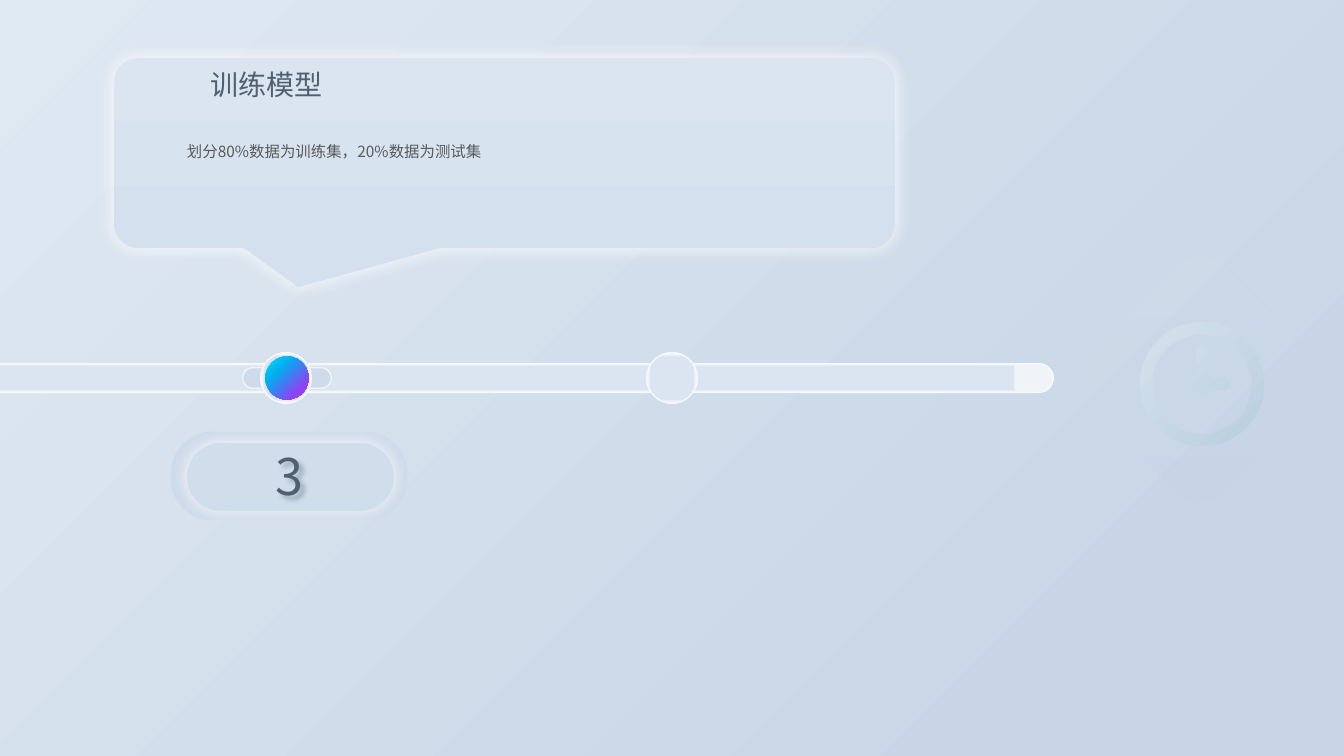
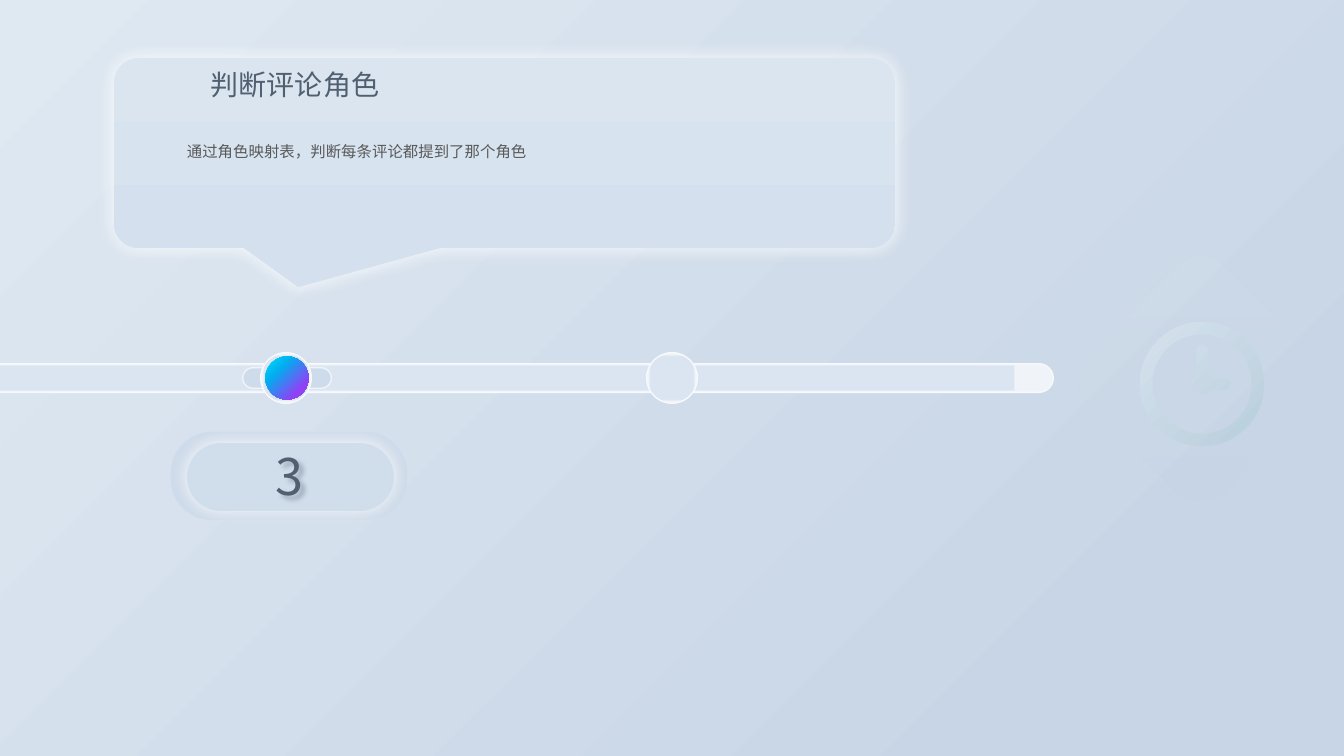
from dataclasses import dataclass
from math import ceil, cos, radians, sin, tan

from lxml import etree
from pptx import Presentation
from pptx.dml.color import RGBColor
from pptx.dml.fill import FillFormat
from pptx.enum.shapes import MSO_SHAPE
from pptx.enum.text import MSO_AUTO_SIZE, PP_ALIGN
from pptx.oxml.ns import qn
from pptx.shapes.autoshape import Shape
from pptx.slide import Slide
from pptx.util import Pt

WIDE, HIGH = 1344, 756
SCALE = 12192000 / WIDE
FINE = 100
PILL = MSO_SHAPE.ROUNDED_RECTANGLE
OVAL = MSO_SHAPE.OVAL
CALLOUT = MSO_SHAPE.ROUNDED_RECTANGULAR_CALLOUT
LEFT, CENTER = PP_ALIGN.LEFT, PP_ALIGN.CENTER
HEAD, BODY = "Noto Sans CJK JP", "Noto Sans CJK SC"
SLATE, GRAY, WHITE = "516070", "595959", "FFFFFF"
PALE, WELL, RIM, EDGE, STEEL = "D4E0ED", "CEDBEA", "F7F9FC", "F0F4F9", "85AACC"

Box = tuple[int, int, int, int]
Point = tuple[float, float]


@dataclass(frozen=True)
class Grad:
    """Colour stops in percent; without an angle the blend follows the shape."""
    stops: tuple[tuple[int, str], ...]
    angle: int | None = None
    alpha: int = 100


@dataclass(frozen=True)
class Part:
    """A shape whose box takes in the width of its line."""
    kind: MSO_SHAPE
    box: Box
    fill: str | Grad
    line: str = RIM
    width: float = 1
    adj: tuple[float, ...] = ()
    glow: int = 0
    clear: bool = False
    turn: int = 0


@dataclass(frozen=True)
class Step:
    title: str
    body: str


SKY = Grad(((0, "DFE9F2"), (85, "C8D5E6")), 45)
MIST = Grad(SKY.stops, 45, 8)
TRACK = Grad(((84, "DBE5F1"), (93, EDGE)))
NEON = Grad(((0, "04DFFB"), (31, "00B0F0"), (79, "9340F5")), 45)
CARD = Grad(((0, "DAE5F0"), (100, PALE)), 90)
CLOCK = Grad(((0, "D6E2EE"), (100, "B8CEDB")), 45)

PARTS = (
    Part(PILL, (-41, 363, 1095, 30), TRACK, adj=(0.5,)),
    Part(PILL, (242, 367, 90, 22), WELL, EDGE, adj=(0.5,)),
    *(Part(OVAL, (x, 352, 52, 52), TRACK) for x in (260, 646)),
    Part(OVAL, (265, 356, 44, 44), NEON, WHITE, 0.5, clear=True),
    Part(PILL, (170, 431, 238, 90), WELL, adj=(0.47,), clear=True),
    Part(PILL, (173, 429, 235, 96), "D0DDEB", STEEL, 20, (0.5,), 18, True),
    Part(CALLOUT, (100, 44, 809, 218), CARD, STEEL, 20, (-0.264, 0.705, 0.13),
         20, True),
    Part(PILL, (1090, 268, 221, 221), MIST, STEEL, 20, clear=True, turn=45),
)

STEPS = (
    Step("训练模型", "划分80%数据为训练集，20%数据为测试集"),
    Step("判断评论角色", "通过角色映射表，判断每条评论都提到了那个角色"),
)


def emu(px: float) -> int:
    return round(px * SCALE)


def rgb(code: str) -> RGBColor:
    return RGBColor.from_string(code)


def node(up: etree._Element, tag: str, **attrs: object) -> etree._Element:
    return etree.SubElement(up, qn(tag), {k: str(v) for k, v in attrs.items()})


def tint(up: etree._Element, code: str, alpha: int = 100) -> None:
    color = node(up, "a:srgbClr", val=code)
    if alpha < 100:
        node(color, "a:alpha", val=alpha * 1000)


def paint(fill: FillFormat, look: str | Grad) -> None:
    if isinstance(look, str):
        fill.solid()
        fill.fore_color.rgb = rgb(look)
        return
    fill.gradient()
    grad = fill._xPr.find(qn("a:gradFill"))
    for child in list(grad):
        grad.remove(child)
    stops = node(grad, "a:gsLst")
    for pos, code in look.stops:
        tint(node(stops, "a:gs", pos=pos * 1000), code, look.alpha)
    if look.angle is None:
        mode = node(grad, "a:path", path="shape")
        node(mode, "a:fillToRect", l=50000, t=50000, r=50000, b=50000)
    else:
        node(grad, "a:lin", ang=look.angle * 60000, scaled=0)


def shade(shape: Shape, code: str, alpha: int, blur: int, gap: int = 0) -> None:
    shape.shadow.inherit = False
    group = shape._element.spPr.find(qn("a:effectLst"))
    tint(node(group, "a:outerShdw", blurRad=emu(blur), dist=emu(gap),
              dir=2700000, algn="ctr", rotWithShape=0), code, alpha)


def draw(slide: Slide, part: Part) -> None:
    x, y, w, h = map(emu, part.box)
    rim = Pt(part.width)
    half = rim // 2
    shape = slide.shapes.add_shape(part.kind, x + half, y + half, w - rim, h - rim)
    shape.rotation = part.turn
    for i, value in enumerate(part.adj):
        shape.adjustments[i] = value
    paint(shape.fill, part.fill)
    paint(shape.line.fill, part.line)
    shape.line.width = rim
    if part.clear:
        color = shape.line._ln.find(".//" + qn("a:srgbClr"))
        node(color, "a:alpha", val=0)
    shape.shadow.inherit = False
    if part.glow:
        shade(shape, WHITE, 90, part.glow)


def write(slide: Slide, text: str, box: Box, *, size: int, font: str = HEAD,
          color: str = SLATE, align: PP_ALIGN = LEFT, space: float = 1) -> Shape:
    shape = slide.shapes.add_textbox(*map(emu, box))
    frame = shape.text_frame
    frame.word_wrap = True
    frame.auto_size = MSO_AUTO_SIZE.SHAPE_TO_FIT_TEXT
    para = frame.paragraphs[0]
    para.alignment, para.line_spacing = align, space
    run = para.add_run()
    run.text = text
    run.font.size, run.font.name = Pt(size), font
    run.font.color.rgb = rgb(color)
    node(run.font._element, "a:ea", typeface=font)
    return shape


def mark(up: etree._Element, tag: str, *points: Point) -> None:
    """Add one path command with its points."""
    step = node(up, tag)
    for x, y in points:
        node(step, "a:pt", x=round(x * FINE), y=round(y * FINE))


def arc(up: etree._Element, mid: Point, r: float, start: int, end: int,
        first: bool = False) -> None:
    """Curve clockwise from the right, in degrees, after a line to its start."""
    def spot(t: float, pull: float = 0) -> Point:
        return (mid[0] + r * (cos(t) - pull * sin(t)),
                mid[1] + r * (sin(t) + pull * cos(t)))

    count = ceil(abs(end - start) / 90)
    part = radians(end - start) / count
    pull = 4 / 3 * tan(part / 4)
    mark(up, "a:moveTo" if first else "a:lnTo", spot(radians(start)))
    for i in range(count):
        t = radians(start) + i * part
        mark(up, "a:cubicBezTo", spot(t, pull), spot(t + part, -pull),
             spot(t + part))


def clock(slide: Slide, x: int, y: int, r: int) -> None:
    side = 2 * r * FINE
    pen = slide.shapes.build_freeform(0, 0, scale=SCALE / FINE)
    pen.add_line_segments([(side, 0), (side, side), (0, side)])
    shape = pen.convert_to_shape(emu(x - r), emu(y - r))
    way = shape._element.spPr.find(".//" + qn("a:path"))
    for child in list(way):
        way.remove(child)
    mid = (r, r)
    for size, start, end in ((r, 90, 450), (r - 12, 270, -90)):
        arc(way, mid, size, start, end, True)
        node(way, "a:close")
    arc(way, (r + 22, r), 6, -90, 90, True)
    arc(way, mid, 11, 30, 240)
    arc(way, (r, r - 33), 6, 180, 360)
    arc(way, mid, 11, 300, 330)
    node(way, "a:close")
    paint(shape.fill, CLOCK)
    shape.line.fill.background()
    shape.shadow.inherit = False


def build(slide: Slide, step: Step) -> None:
    for part in PARTS[:-1]:
        draw(slide, part)
    write(slide, step.title, (201, 63, 209, 44), size=20)
    digit = write(slide, "3", (194, 440, 192, 72), size=36, align=CENTER)
    shade(digit, SLATE, 40, 5, 5)
    draw(slide, PARTS[-1])
    clock(slide, 1202, 384, 62)
    write(slide, step.body, (177, 128, 469, 38), size=11, font=BODY,
          color=GRAY, space=1.5)


def main() -> None:
    deck = Presentation()
    deck.slide_width, deck.slide_height = emu(WIDE), emu(HIGH)
    paint(deck.slide_master.background.fill, SKY)
    for step in STEPS:
        build(deck.slides.add_slide(deck.slide_layouts[6]), step)
    deck.save("out.pptx")


if __name__ == "__main__":
    main()
